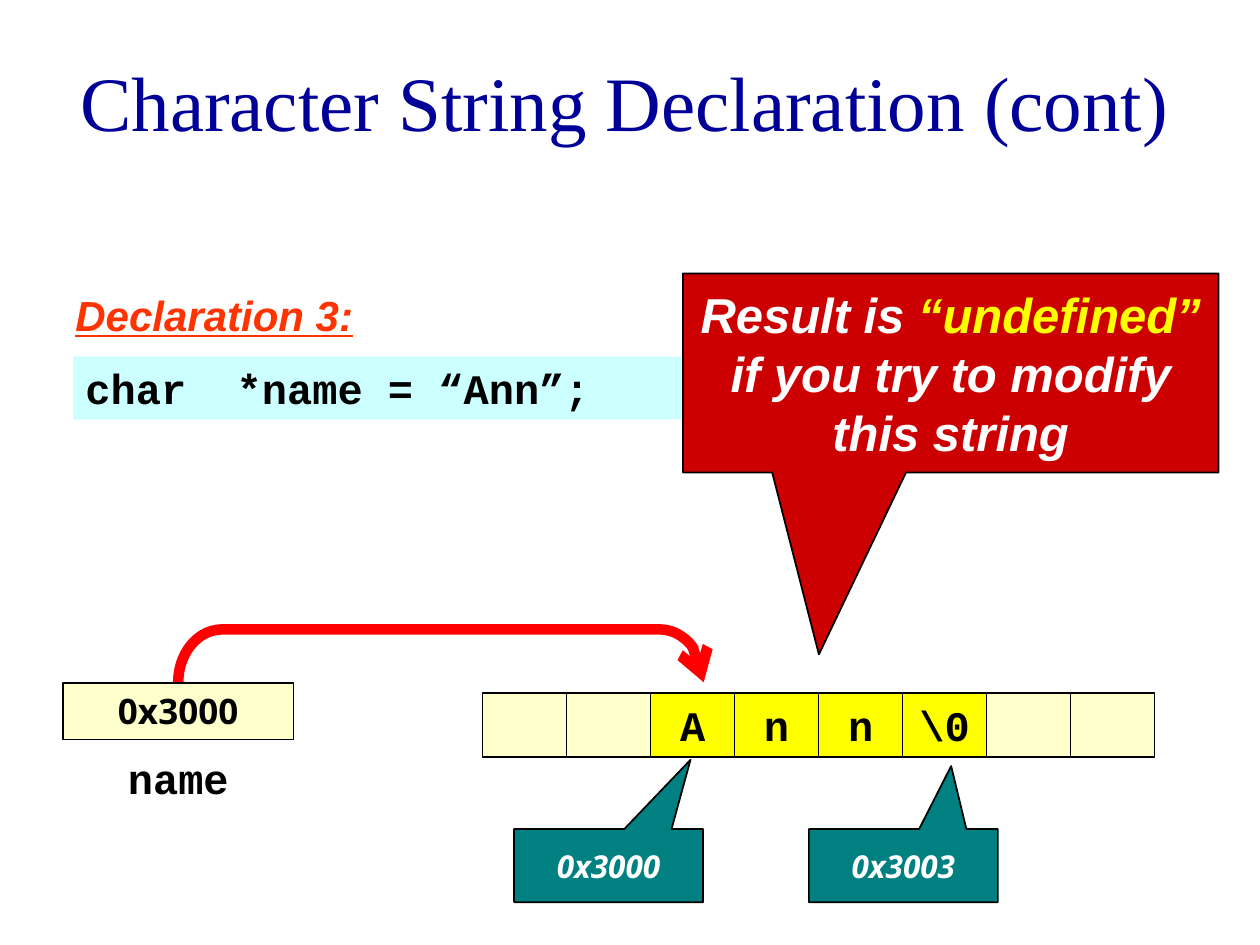
from lxml import etree
from pptx import Presentation
from pptx.dml.color import RGBColor
from pptx.enum.shapes import MSO_SHAPE
from pptx.enum.text import MSO_ANCHOR, PP_ALIGN
from pptx.oxml.ns import qn
from pptx.util import Inches, Pt

RECT = MSO_SHAPE.RECTANGLE
WEDGE = MSO_SHAPE.RECTANGULAR_CALLOUT
BRACKET = MSO_SHAPE.RIGHT_BRACKET
LEFT, CENTER = PP_ALIGN.LEFT, PP_ALIGN.CENTER
TOP, MIDDLE = MSO_ANCHOR.TOP, MSO_ANCHOR.MIDDLE

BLACK = RGBColor(0, 0, 0)
WHITE = RGBColor(0xFF, 0xFF, 0xFF)
NAVY = RGBColor(0, 0, 0x99)
ORANGE = RGBColor(0xFF, 0x33, 0)
CYAN = RGBColor(0xCC, 0xFF, 0xFF)
CRIMSON = RGBColor(0xCC, 0, 0)
RED = RGBColor(0xFF, 0, 0)
YELLOW = RGBColor(0xFF, 0xFF, 0)
CREAM = RGBColor(0xFF, 0xFF, 0xCC)
TEAL = RGBColor(0, 0x80, 0x80)

HEAD = dict(name="Times New Roman", size=Pt(44), color=NAVY)
LABEL = dict(name="Arial", size=Pt(24), bold=True, italic=True,
             underline=True, color=ORANGE)
CODE = dict(name="Courier New", size=Pt(24), bold=True, color=BLACK)
WARN = dict(name="Arial", size=Pt(28), bold=True, italic=True, color=WHITE)
VALUE = dict(name="Noto Sans", size=Pt(20), bold=True, color=BLACK)
ADDRESS = dict(name="Noto Sans", size=Pt(18), bold=True, italic=True,
               color=WHITE)

# Each line of text is a list of (words, own colour or None)
WARNING = [
    [("Result is ", None), ("“undefined”", YELLOW)],
    [("if you try to modify", None)],
    [("this string", None)],
]
# words, place, format, alignment, anchor
LABELS = [
    ("Character String Declaration (cont)", (0.17, 0.42, 9.58, 0.75),
     HEAD, CENTER, MIDDLE),
    ("Declaration 3:", (0.5, 2.25, 2.58, 0.5), LABEL, LEFT, TOP),
    ("name", (0.5, 5.92, 1.83, 0.5), CODE, CENTER, TOP),
]
CELLS = ["", "", "A", "n", "n", "\\0", "", ""]
CELL_X, CELL_Y, CELL_W, CELL_H = 3.83, 5.5, 2 / 3, 0.51
# address, left, pointer tip
TAGS = [("0x3000", 4.08, (0.434, -1.449)), ("0x3003", 6.42, (0.253, -1.363))]


def plain(words):
    return [[(words, None)]]


def write(shape, lines, form, align=CENTER, anchor=TOP, wrap=True):
    frame = shape.text_frame
    frame.word_wrap = wrap
    frame.vertical_anchor = anchor
    for i, line in enumerate(lines):
        para = frame.paragraphs[0] if i == 0 else frame.add_paragraph()
        para.alignment = align
        for words, tint in line:
            run = para.add_run()
            run.text = words
            for key, value in form.items():
                if key == "color":
                    run.font.color.rgb = tint or value
                else:
                    setattr(run.font, key, value)


def draw(slide, kind, place, fill=None, line=BLACK, width=1, adjust=()):
    shape = slide.shapes.add_shape(kind, *map(Inches, place))
    shape.shadow.inherit = False
    for i, value in enumerate(adjust):
        shape.adjustments[i] = value
    if fill is None:
        shape.fill.background()
    else:
        shape.fill.solid()
        shape.fill.fore_color.rgb = fill
    if line is None:
        shape.line.fill.background()
    else:
        shape.line.color.rgb = line
        shape.line.width = Pt(width)
    return shape


def main():
    deck = Presentation()
    deck.slide_width, deck.slide_height = Inches(10), Inches(7.5)
    slide = deck.slides.add_slide(deck.slide_layouts[6])

    for words, place, form, align, anchor in LABELS:
        box = slide.shapes.add_textbox(*map(Inches, place))
        write(box, plain(words), form, align, anchor)

    code = draw(slide, RECT, (0.58, 2.83, 8.58, 0.5), CYAN, None)
    write(code, plain("char  *name = “Ann”;"), CODE, LEFT)

    warn = draw(slide, WEDGE, (5.42, 2.17, 4.25, 1.58), CRIMSON,
                adjust=(-0.246, 1.414))
    write(warn, WARNING, WARN, anchor=MIDDLE, wrap=False)

    for i, char in enumerate(CELLS):
        place = (CELL_X + i * CELL_W, CELL_Y, CELL_W, CELL_H)
        cell = draw(slide, RECT, place, YELLOW if char else CREAM)
        if char:
            write(cell, plain(char), CODE)

    arrow = draw(slide, BRACKET, (3.29, 3.12, 0.42, 4.17), None, RED, 6,
                 (0.833,))
    arrow.rotation = 270
    stroke = arrow.element.spPr.find(qn("a:ln"))
    etree.SubElement(stroke, qn("a:tailEnd"), type="arrow")

    for words, left, tip in TAGS:
        tag = draw(slide, WEDGE, (left, 6.58, 1.5, 0.58), TEAL, adjust=tip)
        write(tag, plain(words), ADDRESS, anchor=MIDDLE, wrap=False)

    store = draw(slide, RECT, (0.5, 5.42, 1.83, 0.45), CREAM)
    write(store, plain("0x3000"), VALUE)

    deck.save("out.pptx")


if __name__ == "__main__":
    main()
